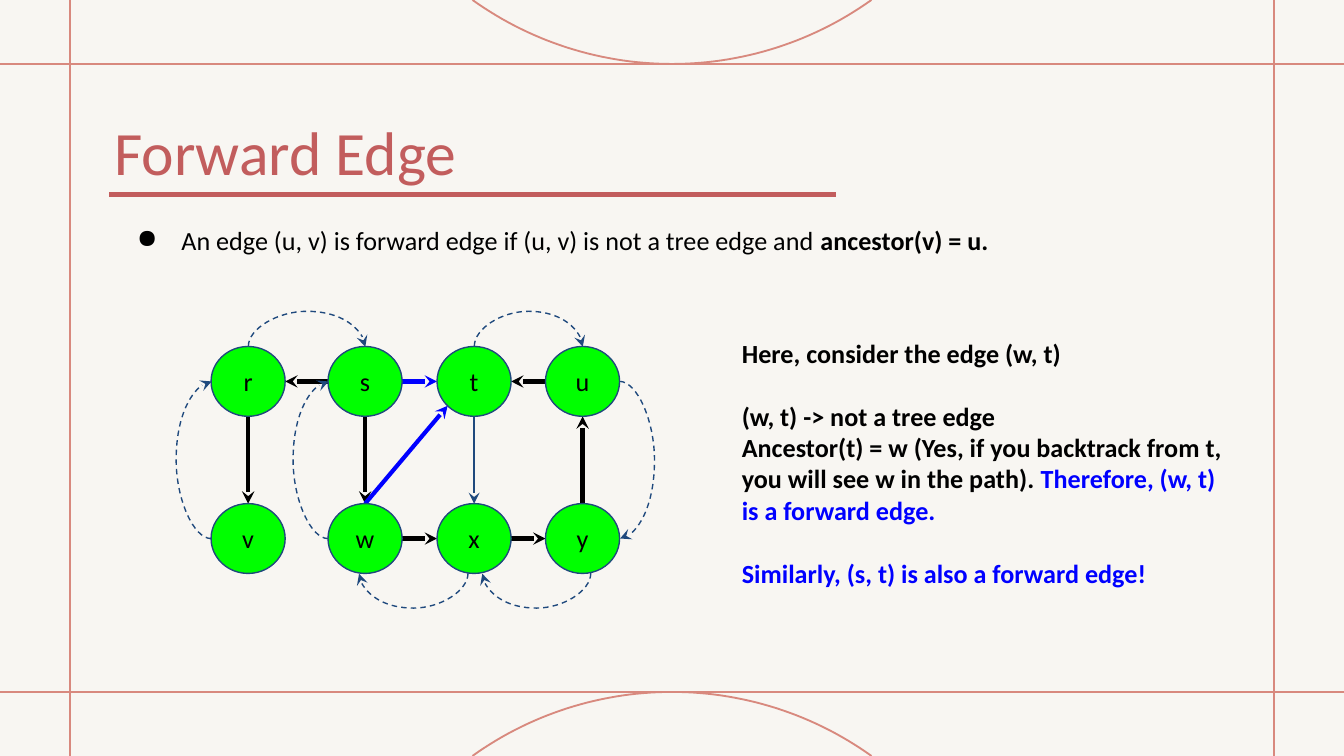
from math import acos, cos, sin

from lxml.etree import SubElement
from pptx import Presentation
from pptx.dml.color import RGBColor
from pptx.enum.dml import MSO_LINE_DASH_STYLE as Dash
from pptx.enum.shapes import MSO_CONNECTOR as Link, MSO_SHAPE as Shape
from pptx.enum.text import MSO_ANCHOR as Anchor, PP_ALIGN as Align
from pptx.oxml.ns import qn
from pptx.util import Cm, Pt

CREAM = RGBColor(0xF8, 0xF6, 0xF2)
SALMON = RGBColor(0xD8, 0x89, 0x7E)
BRICK = RGBColor(0xC2, 0x5D, 0x5D)
NAVY = RGBColor(0x1F, 0x49, 0x7D)
BLUE = RGBColor(0x00, 0x00, 0xFF)
GREEN = RGBColor(0x00, 0xFF, 0x00)
BLACK = RGBColor(0x00, 0x00, 0x00)

WIDTH, HEIGHT = 25.4, 14.29
NODE_WIDTH, NODE_HEIGHT = 1.4, 1.32
COLUMNS = (0.7, 2.91, 4.97, 7.02)
ROWS = (0.66, 3.63)
NODES = {
    name: (x, y)
    for y, names in zip(ROWS, ("rstu", "vwxy"))
    for x, name in zip(COLUMNS, names)
}
SIDES = {"left": (-1, 0), "top": (0, -1), "right": (1, 0), "bottom": (0, 1)}
ARC_TURNS = {"left": (180, True), "top": (270, True), "right": (0, False), "bottom": (90, False)}
EDGES = (
    ("s", "left", "r", "right", BLACK, 2.25),
    ("r", "bottom", "v", "top", BLACK, 2.25),
    ("s", "bottom", "w", "top", BLACK, 2.25),
    ("s", "right", "t", "left", BLUE, 2.25),
    ("u", "left", "t", "right", BLACK, 2.25),
    ("t", "bottom", "x", "top", NAVY, 0.75),
    ("w", "right", "x", "left", BLACK, 2.25),
    ("x", "right", "y", "left", BLACK, 2.25),
    ("y", "top", "u", "bottom", BLACK, 2.25),
)
ARCS = (
    ("v", "r", "left", 0),
    ("r", "s", "top", 0),
    ("t", "u", "top", 0),
    ("u", "y", "right", 0),
    ("w", "s", "left", 0),
    ("y", "x", "bottom", 0.15),
    ("x", "w", "bottom", -0.12),
)
REMARKS = (
    ([("Here, consider the edge (w, t)", BLACK)], 0),
    ([("(w, t) -> not a tree edge", BLACK)], 17),
    ([("Ancestor(t) = w (Yes, if you backtrack from t,", BLACK)], 0),
    ([("you will see w in the path). ", BLACK), ("Therefore, (w, t)", BLUE)], 0),
    ([("is a forward edge.", BLUE)], 0),
    ([("Similarly, (s, t) is also a forward edge!", BLUE)], 17),
)


def set_font(font, size, color, bold=False):
    """Give a font the slide's typeface with a size, colour and weight."""
    font.name, font.size, font.bold = "Calibri", Pt(size), bold
    font.color.rgb = color


def add_line(page, start, end, color, weight, arrow=False, kind=Link.STRAIGHT):
    """Draw a shadowless connector between two points in centimetres."""
    link = page.shapes.add_connector(kind, *map(Cm, (*start, *end)))
    link.line.color.rgb = color
    link.line.width = Pt(weight)
    if arrow:
        SubElement(link.line._get_or_add_ln(), qn("a:tailEnd"), type="stealth")
    SubElement(link._element.spPr, qn("a:effectLst"))
    return link


def add_text_box(page, left, top, width, height, margin=0):
    """Add a wrapping text box and return its frame."""
    box = page.shapes.add_textbox(Cm(left), Cm(top), Cm(width), Cm(height))
    frame = box.text_frame
    frame.word_wrap = True
    frame.margin_left = frame.margin_right = Cm(margin)
    frame.margin_top = frame.margin_bottom = Cm(margin)
    return frame


def add_bow(page, center, apex, direction, radius, depth):
    """Draw the part of a circle that shows between the apex and the slide's edge."""
    half, steps = acos((radius - depth) / radius), 60
    points = []
    for step in range(steps + 1):
        angle = half * (2 * step / steps - 1)
        rise = radius * (1 - cos(angle))
        points.append((Cm(center + radius * sin(angle)), Cm(apex + direction * rise)))
    builder = page.shapes.build_freeform(*points[0])
    builder.add_line_segments(points[1:], close=False)
    bow = builder.convert_to_shape()
    bow.shadow.inherit = False
    bow.fill.background()
    bow.line.color.rgb = SALMON
    bow.line.width = Pt(1)


def add_frame(page, width, height, side=1.32, edge=1.21):
    """Draw the crossing margin lines and the two bows."""
    for y, direction in ((edge, -1), (height - edge, 1)):
        add_line(page, (0, y), (width, y), SALMON, 1)
        add_bow(page, width / 2, y, direction, 6.48, edge)
    for x in (side, width - side):
        add_line(page, (x, 0), (x, height), SALMON, 1)


def add_heading(page, left, top, width, height):
    """Write the title above its thick rule."""
    para = add_text_box(page, left, top, width, height).paragraphs[0]
    para.text = "Forward Edge"
    set_font(para.font, 33, BRICK)
    rule = top + height + 0.1
    add_line(page, (left - 0.1, rule), (left + 13.64, rule), BRICK, 3)


def add_definition(page, left, top, width, height):
    """Write the bulleted definition."""
    para = add_text_box(page, left, top, width, height).paragraphs[0]
    para.add_run().text = "An edge (u, v) is forward edge if (u, v) is not a tree edge and "
    span = para.add_run()
    span.text = "ancestor(v) = u."
    span.font.bold = True
    props = para._p.get_or_add_pPr()
    props.set("marL", str(Cm(1.27)))
    props.set("indent", str(Cm(-0.84)))
    SubElement(props, qn("a:buChar"), char="●")
    set_font(para.font, 14, BLACK)


def add_arc(page, start, end, side):
    """Draw a dashed curved arrow that bulges towards the given side."""
    turn, flipped = ARC_TURNS[side]
    length = abs(end[0] - start[0]) + abs(end[1] - start[1])
    arc = add_line(page, start, end, NAVY, 0.75, True, Link.CURVE)
    arc.line.dash_style = Dash.DASH
    arc.left = Cm((start[0] + end[0]) / 2)
    arc.top = Cm((start[1] + end[1] - length) / 2)
    arc.width, arc.height = Cm(0.01), Cm(length)
    shape_props = arc._element.spPr
    frame = shape_props.find(qn("a:xfrm"))
    for flip in ("flipH", "flipV"):
        frame.attrib.pop(flip, None)
    frame.set("rot", str(turn * 60000))
    if flipped:
        frame.set("flipH", "1")
    guides = shape_props.find(qn("a:prstGeom")).find(qn("a:avLst"))
    bulge = -6600000 if flipped else 6600000
    SubElement(guides, qn("a:gd"), name="adj1", fmla=f"val {bulge}")


def add_graph(page, left, top):
    """Draw the edges, nodes and dashed arcs of the graph."""

    def port(name, side, shift=0):
        """Return the point on one side of a node."""
        (x, y), (dx, dy) = NODES[name], SIDES[side]
        return left + x + dx * NODE_WIDTH / 2 + shift, top + y + dy * NODE_HEIGHT / 2

    for source, out, target, into, color, weight in EDGES:
        add_line(page, port(source, out), port(target, into), color, weight, True)
    corner = (left + NODES["t"][0] - 0.5, top + NODES["t"][1] + 0.46)
    add_line(page, port("w", "top"), corner, BLUE, 2.25, True)
    for name, (x, y) in NODES.items():
        node = page.shapes.add_shape(
            Shape.OVAL, Cm(left + x - NODE_WIDTH / 2), Cm(top + y - NODE_HEIGHT / 2),
            Cm(NODE_WIDTH), Cm(NODE_HEIGHT))
        node.shadow.inherit = False
        node.fill.solid()
        node.fill.fore_color.rgb = GREEN
        node.line.color.rgb = NAVY
        node.line.width = Pt(0.75)
        node.text_frame.vertical_anchor = Anchor.MIDDLE
        para = node.text_frame.paragraphs[0]
        para.text, para.alignment = name, Align.CENTER
        set_font(para.font, 14, BLACK)
    for source, target, side, shift in ARCS:
        add_arc(page, port(source, side, shift), port(target, side, shift), side)


def add_remarks(page, left, top, width, height):
    """Write the explanation beside the graph."""
    frame = add_text_box(page, left, top, width, height, 0.25)
    for index, (parts, gap) in enumerate(REMARKS):
        para = frame.add_paragraph() if index else frame.paragraphs[0]
        para.alignment, para.space_before = Align.JUSTIFY, Pt(gap)
        set_font(para.font, 14, BLACK, True)
        for words, color in parts:
            span = para.add_run()
            span.text = words
            span.font.color.rgb = color


def main():
    """Build the slide and save the deck."""
    deck = Presentation()
    deck.slide_width, deck.slide_height = Cm(WIDTH), Cm(HEIGHT)
    page = deck.slides.add_slide(deck.slide_layouts[6])
    page.background.fill.solid()
    page.background.fill.fore_color.rgb = CREAM
    add_frame(page, WIDTH, HEIGHT)
    add_heading(page, 2.16, 2.16, 13.89, 1.42)
    add_definition(page, 2.16, 4.24, 21.06, 0.61)
    add_graph(page, 3.99, 6.55)
    add_remarks(page, 13.77, 6.12, 10.31, 5.49)
    deck.save("out.pptx")


if __name__ == "__main__":
    main()
